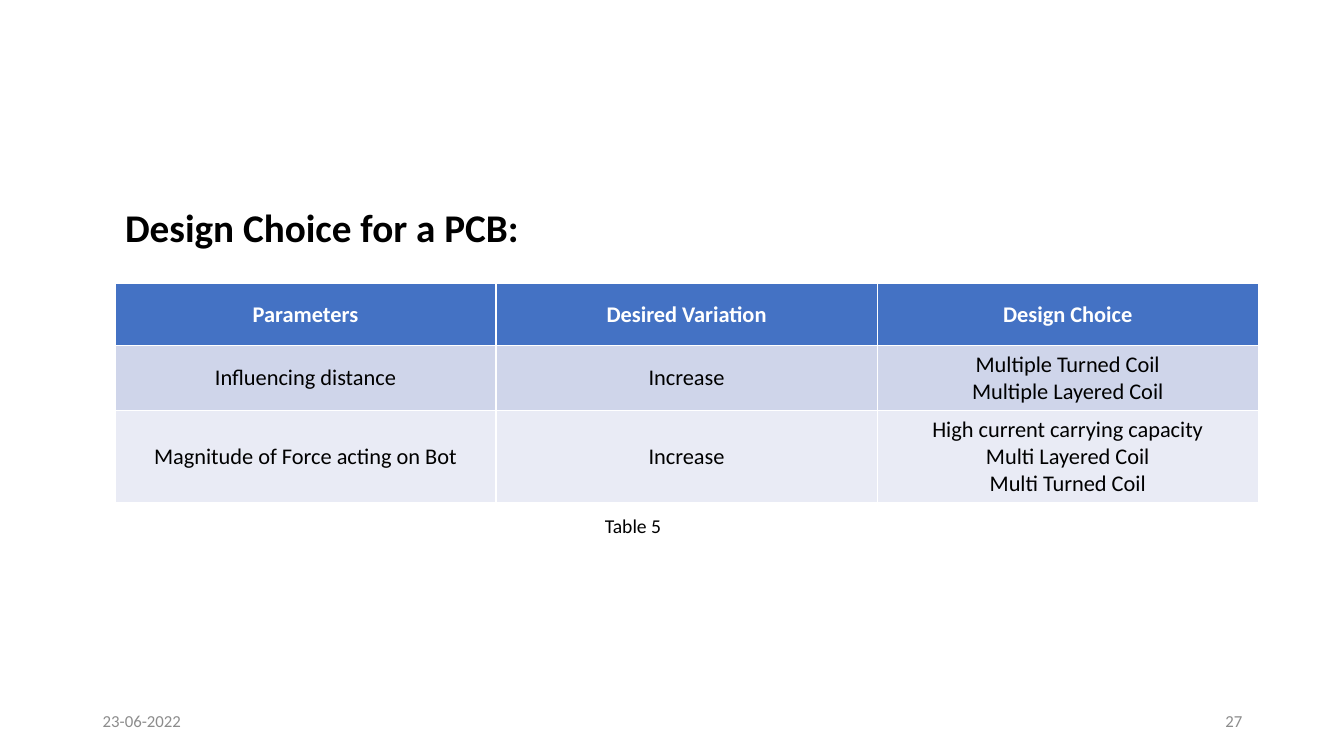
from pptx import Presentation
from pptx.dml.color import RGBColor
from pptx.enum.text import MSO_ANCHOR, MSO_AUTO_SIZE, PP_ALIGN
from pptx.util import Inches, Pt

BLACK = RGBColor(0x00, 0x00, 0x00)
WHITE = RGBColor(0xFF, 0xFF, 0xFF)
GRAY = RGBColor(0x8C, 0x8C, 0x8C)
BLUE = RGBColor(0x44, 0x72, 0xC4)
BANDS = [RGBColor(0xCF, 0xD5, 0xEA), RGBColor(0xE9, 0xEB, 0xF5)]

deck = Presentation()
deck.slide_width = Inches(13.33)
deck.slide_height = Inches(7.5)
slide = deck.slides.add_slide(deck.slide_layouts[5])


def write(frame, lines, size, color, align=PP_ALIGN.LEFT, bold=False):
    """Fill a text frame with one paragraph per line."""
    for i, line in enumerate(lines):
        para = frame.paragraphs[0] if i == 0 else frame.add_paragraph()
        para.alignment = align
        run = para.add_run()
        run.text = line
        run.font.name = "Calibri"
        run.font.size = Pt(size)
        run.font.bold = bold
        run.font.color.rgb = color


def place(shape, left, top, width, height):
    shape.left, shape.top = Inches(left), Inches(top)
    shape.width, shape.height = Inches(width), Inches(height)


# Title
title = slide.shapes.title
place(title, 1.14, 1.97, 4.15, 0.57)
frame = title.text_frame
frame.word_wrap = False
frame.auto_size = MSO_AUTO_SIZE.NONE
frame.vertical_anchor = MSO_ANCHOR.TOP
write(frame, ["Design Choice for a PCB:"], 28, BLACK, bold=True)

# Table
rows = [
    [["Parameters"], ["Desired Variation"], ["Design Choice"]],
    [["Influencing distance"], ["Increase"],
     ["Multiple Turned Coil", "Multiple Layered Coil"]],
    [["Magnitude of Force acting on Bot"], ["Increase"],
     ["High current carrying capacity", "Multi Layered Coil",
      "Multi Turned Coil"]],
]
heights = [0.62, 0.64, 0.89]
grid = slide.shapes.add_table(
    len(rows), 3, Inches(1.14), Inches(2.81),
    Inches(11.34), Inches(sum(heights))).table
for r, row in enumerate(rows):
    grid.rows[r].height = Inches(heights[r])
    head = r == 0
    for c, lines in enumerate(row):
        cell = grid.cell(r, c)
        cell.fill.solid()
        cell.fill.fore_color.rgb = BLUE if head else BANDS[r - 1]
        cell.vertical_anchor = MSO_ANCHOR.MIDDLE
        write(cell.text_frame, lines, 16, WHITE if head else BLACK,
              PP_ALIGN.CENTER, head)

# Caption, date and page number
labels = [
    ("Table 5", 5.9, 5.05, 0.77, 0.34, 14, BLACK, PP_ALIGN.LEFT, MSO_ANCHOR.TOP),
    ("23-06-2022", 0.92, 6.95, 3, 0.4, 12, GRAY, PP_ALIGN.LEFT, MSO_ANCHOR.MIDDLE),
    ("27", 9.42, 6.95, 3, 0.4, 12, GRAY, PP_ALIGN.RIGHT, MSO_ANCHOR.MIDDLE),
]
for text, left, top, width, height, size, color, align, anchor in labels:
    box = slide.shapes.add_textbox(0, 0, 0, 0)
    place(box, left, top, width, height)
    box.text_frame.word_wrap = width > 1
    box.text_frame.vertical_anchor = anchor
    write(box.text_frame, [text], size, color, align)

deck.save("out.pptx")
